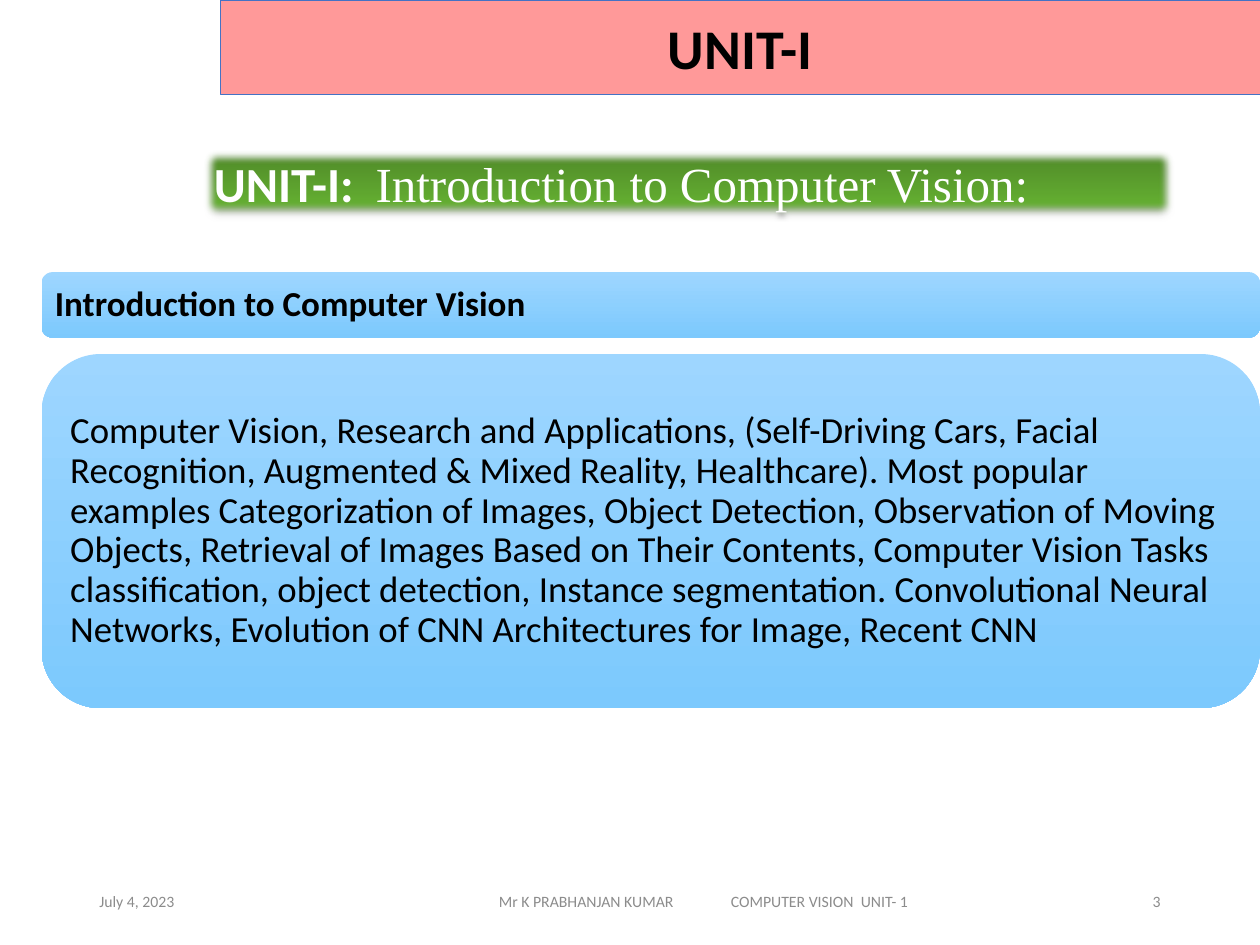
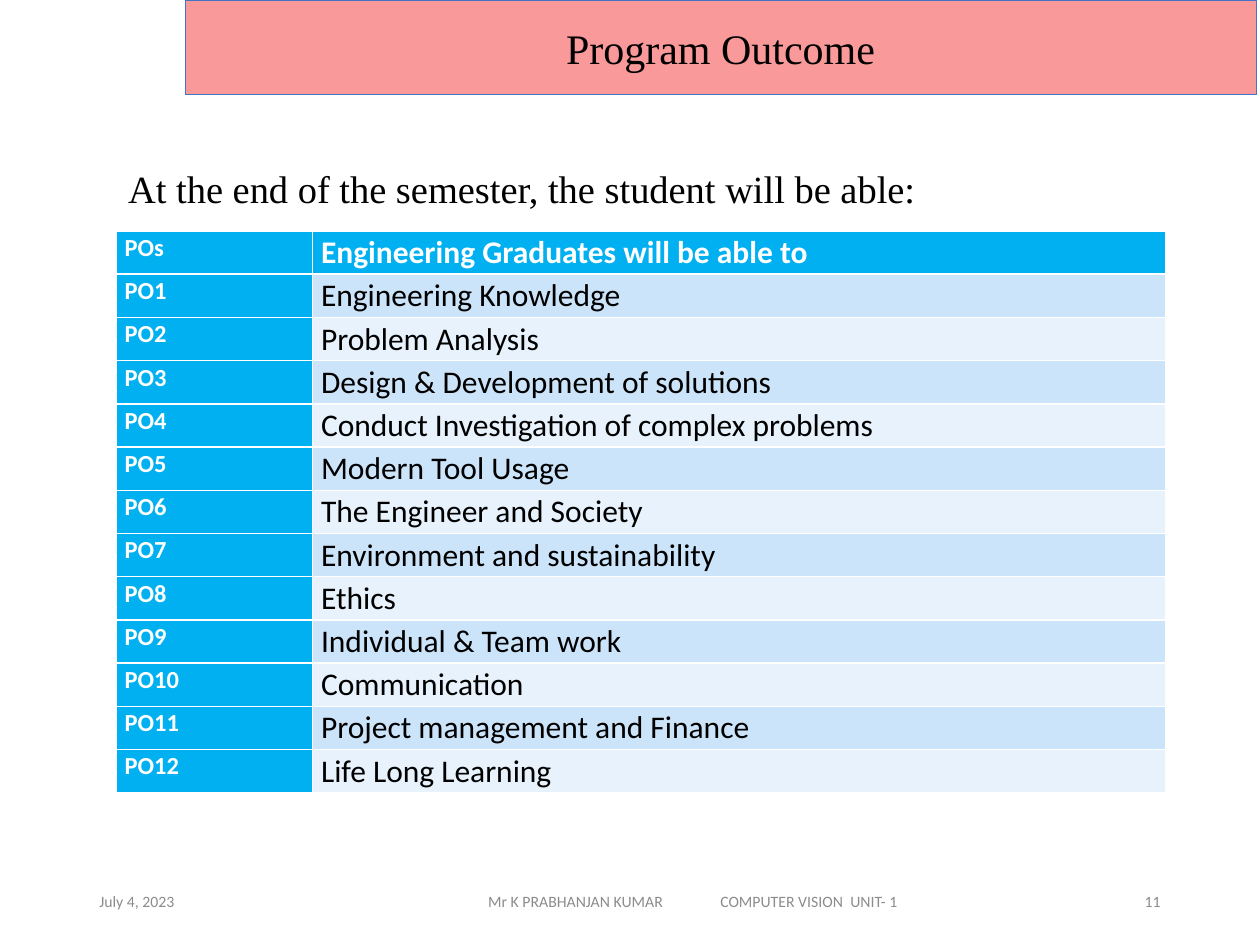
from lxml.etree import SubElement
from pptx import Presentation
from pptx.dml.color import RGBColor
from pptx.enum.shapes import MSO_SHAPE
from pptx.enum.text import MSO_ANCHOR, MSO_AUTO_SIZE, PP_ALIGN
from pptx.oxml import parse_xml
from pptx.oxml.ns import nsdecls, qn
from pptx.util import Pt

BLACK = RGBColor(0, 0, 0)
WHITE = RGBColor(255, 255, 255)
GREY = RGBColor(0x8C, 0x8C, 0x8C)
BAND_LINE = RGBColor(0x44, 0x72, 0xC4)
BAND_PINK = RGBColor(0xFF, 0x99, 0x99)
BAND_ROSE = RGBColor(0xF9, 0x99, 0x99)
GREENS = (RGBColor(0x4D, 0x85, 0x27), RGBColor(0x6A, 0xBA, 0x34))
BLUES = (RGBColor(0x9E, 0xD6, 0xFF), RGBColor(0x7C, 0xC9, 0xFD))
HEADER = RGBColor(0, 0xB0, 0xF0)
STRIPES = (RGBColor(0xE7, 0xF2, 0xFC), RGBColor(0xCC, 0xE4, 0xF9))
SANS, SERIF = "Calibri", "Times New Roman"

DATE = "July 4, 2023"
FOOTER = "Mr K PRABHANJAN KUMAR\tCOMPUTER VISION\tUNIT- 1"
FOOTER_WIDTH = 234
FOOTER_TABS = (132.6, 206.9)

TOPIC = "Introduction to Computer Vision"
SYLLABUS = (
    "Computer Vision, Research and Applications, (Self-Driving Cars, Facial "
    "Recognition, Augmented & Mixed Reality, Healthcare). Most popular examples "
    "Categorization of Images, Object Detection, Observation of Moving Objects, "
    "Retrieval of Images Based on Their Contents, Computer Vision Tasks "
    "classification, object detection, Instance segmentation. Convolutional Neural "
    "Networks, Evolution of CNN Architectures for Image, Recent CNN"
)
PANELS = [
    (TOPIC, 155.5, 37.4, 20, True, 5.76),
    (SYLLABUS, 202.3, 202.3, 21, False, 6.48),
]
INTRO = "At the end of the semester, the student will be able:"
OUTCOMES_HEAD = ("POs", "Engineering Graduates will be able to")
OUTCOMES = [
    "Engineering Knowledge",
    "Problem Analysis",
    "Design & Development of solutions",
    "Conduct Investigation of complex problems",
    "Modern Tool Usage",
    "The Engineer and Society",
    "Environment and sustainability",
    "Ethics",
    "Individual & Team work",
    "Communication",
    "Project management and Finance",
    "Life Long Learning",
]


def add_run(p, text, size, color=BLACK, font=SANS, bold=False):
    r = p.add_run()
    r.text = text
    r.font.size = Pt(size)
    r.font.name = font
    r.font.bold = bold
    r.font.color.rgb = color


def set_tabs(p, stops):
    tabs = SubElement(p._p.get_or_add_pPr(), qn("a:tabLst"))
    for stop in stops:
        SubElement(tabs, qn("a:tab"), pos=str(int(Pt(stop))), algn="l")


def add_text(s, left, top, width, height, anchor=MSO_ANCHOR.TOP):
    tf = s.shapes.add_textbox(Pt(left), Pt(top), Pt(width), Pt(height)).text_frame
    tf.word_wrap = True
    tf.vertical_anchor = anchor
    return tf


def add_gradient_box(s, kind, left, top, width, height, colors):
    sp = s.shapes.add_shape(kind, Pt(left), Pt(top), Pt(width), Pt(height))
    sp.shadow.inherit = False
    sp.line.fill.background()
    sp.fill.gradient()
    sp.fill.gradient_angle = 270
    for stop, color in zip(sp.fill.gradient_stops, colors):
        stop.color.rgb = color
    sp.text_frame.word_wrap = True
    return sp


def add_slide(prs, title, left, width, fill, size, font, bold, footer_left, footer_width, number):
    s = prs.slides.add_slide(prs.slide_layouts[5])
    sp = s.shapes.title
    sp.left, sp.top, sp.width, sp.height = Pt(left), Pt(0), Pt(width), Pt(54)
    sp.fill.solid()
    sp.fill.fore_color.rgb = fill
    sp.line.color.rgb = BAND_LINE
    sp.line.width = Pt(0.5)
    tf = sp.text_frame
    tf.auto_size = MSO_AUTO_SIZE.NONE
    tf.vertical_anchor = MSO_ANCHOR.MIDDLE
    p = tf.paragraphs[0]
    p.alignment = PP_ALIGN.CENTER
    add_run(p, title, size, font=font, bold=bold)

    for text, x, w, align in (
        (DATE, 49.7, 162, PP_ALIGN.LEFT),
        (FOOTER, footer_left, footer_width, PP_ALIGN.LEFT),
        (number, 508.3, 162, PP_ALIGN.RIGHT),
    ):
        tf = add_text(s, x, 500.4, w, 28.8, MSO_ANCHOR.MIDDLE)
        p = tf.paragraphs[0]
        if text == FOOTER:
            tf.margin_left = Pt((w - FOOTER_WIDTH) / 2)
            set_tabs(p, FOOTER_TABS)
        p.alignment = align
        add_run(p, text, 9, GREY)
    return s


def add_unit_slide(prs):
    s = add_slide(prs, "UNIT-I", 126, 594, BAND_PINK, 32, SANS, True, 228.2, 347.8, "3")
    sp = add_gradient_box(s, MSO_SHAPE.RECTANGLE, 115.2, 84.2, 556.6, 41, GREENS)
    effects = sp._element.spPr.find(qn("a:effectLst"))
    effects.append(parse_xml(
        f'<a:outerShdw {nsdecls("a")} blurRad="39370" dist="22860" dir="5400000">'
        '<a:srgbClr val="000000"><a:alpha val="35000"/></a:srgbClr></a:outerShdw>'))
    SubElement(effects, qn("a:softEdge"), rad=str(int(Pt(5))))
    tf = sp.text_frame
    tf.vertical_anchor = MSO_ANCHOR.TOP
    p = tf.paragraphs[0]
    set_tabs(p, [92.4])
    p.alignment = PP_ALIGN.LEFT
    add_run(p, "UNIT-I:\t", 28, WHITE, bold=True)
    add_run(p, TOPIC + ":", 28, WHITE, SERIF)

    for text, top, height, size, bold, inset in PANELS:
        sp = add_gradient_box(s, MSO_SHAPE.ROUNDED_RECTANGLE, 23.8, top, 696.2, height, BLUES)
        tf = sp.text_frame
        tf.margin_left = tf.margin_right = tf.margin_top = tf.margin_bottom = Pt(inset)
        tf.vertical_anchor = MSO_ANCHOR.MIDDLE
        p = tf.paragraphs[0]
        p.alignment = PP_ALIGN.LEFT
        p.line_spacing = 0.9
        add_run(p, text, size, bold=bold)


def add_outcome_slide(prs):
    s = add_slide(prs, "Program Outcome", 105.8, 612, BAND_ROSE, 24, SERIF, False, 198, 396, "11")
    p = add_text(s, 66.2, 87.1, 612, 36).paragraphs[0]
    p.line_spacing = 1.15
    add_run(p, INTRO, 22, font=SERIF)

    rows = [OUTCOMES_HEAD] + [(f"PO{i}", text) for i, text in enumerate(OUTCOMES, 1)]
    row_height = 24.7
    table = s.shapes.add_table(
        len(rows), 2, Pt(66.2), Pt(132), Pt(600), Pt(row_height * len(rows))).table
    table.first_col = True
    for col, width in zip(table.columns, (112.3, 487.7)):
        col.width = Pt(width)
    for i, row in enumerate(rows):
        table.rows[i].height = Pt(row_height)
        for j, text in enumerate(row):
            head = i == 0 or j == 0
            cell = table.cell(i, j)
            cell.margin_left = cell.margin_right = Pt(5)
            cell.margin_top = cell.margin_bottom = Pt(0)
            cell.fill.solid()
            cell.fill.fore_color.rgb = HEADER if head else STRIPES[i % 2]
            p = cell.text_frame.paragraphs[0]
            p.line_spacing = 1.07
            add_run(p, text, 18 if j else 14, WHITE if head else BLACK, bold=head)


def main():
    prs = Presentation()
    prs.slide_width, prs.slide_height = Pt(720), Pt(540)
    add_unit_slide(prs)
    add_outcome_slide(prs)
    prs.save("out.pptx")


if __name__ == "__main__":
    main()
